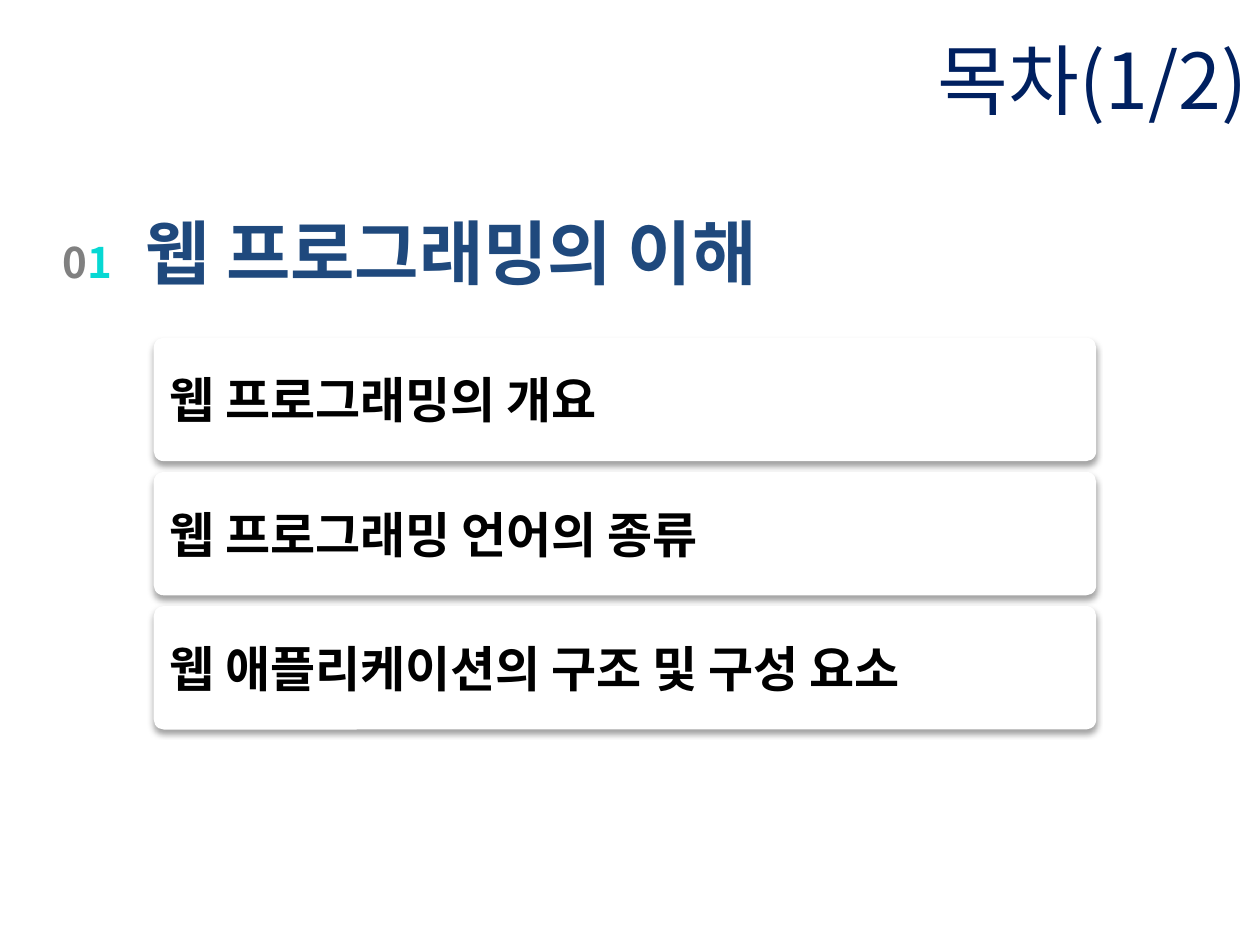
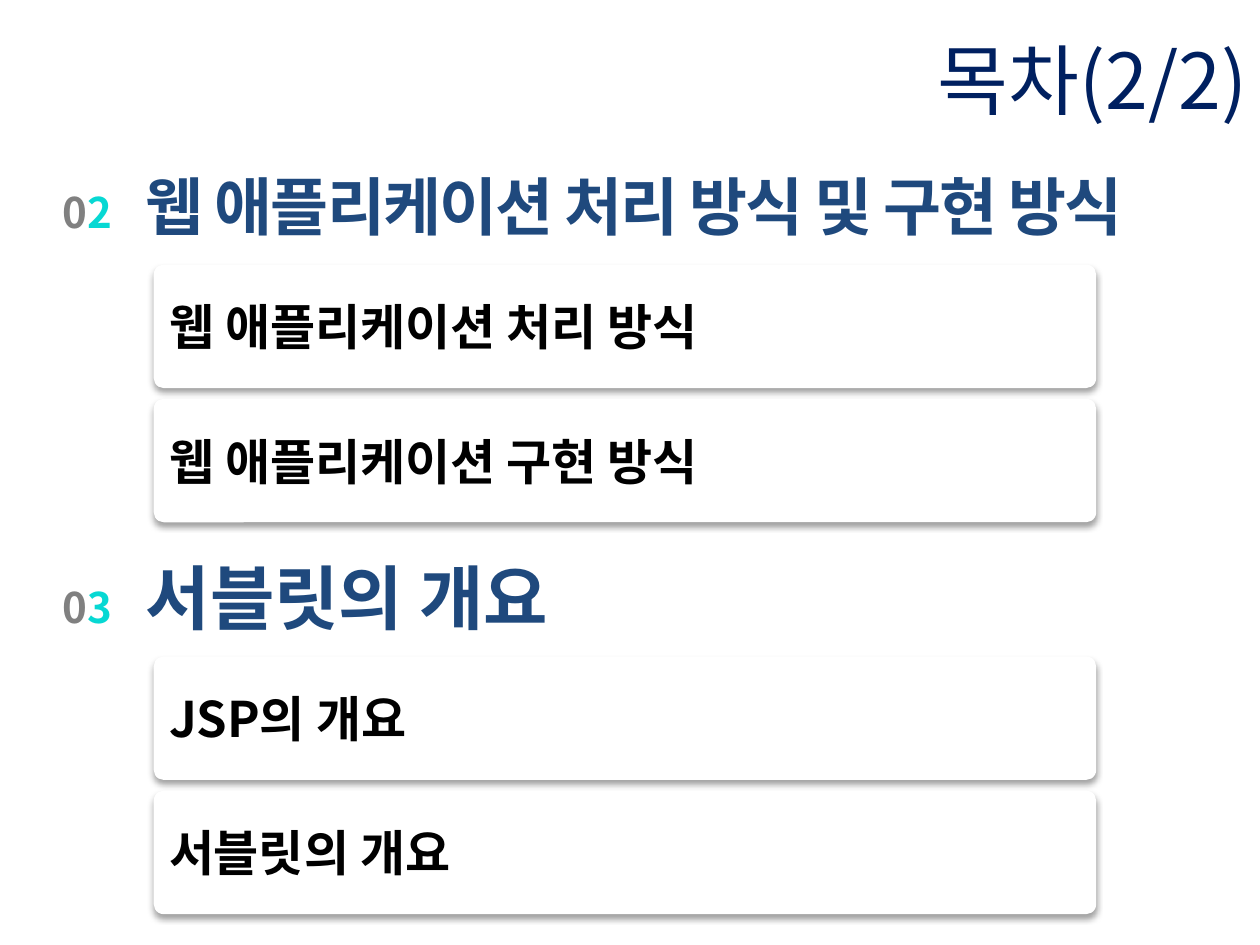
from lxml.etree import SubElement
from pptx import Presentation
from pptx.dml.color import RGBColor
from pptx.enum.shapes import MSO_SHAPE
from pptx.enum.text import MSO_ANCHOR, MSO_AUTO_SIZE, PP_ALIGN
from pptx.oxml.ns import qn
from pptx.util import Inches, Pt

FONT = "Noto Sans CJK KR"
COLORS = {
    "title": "002060",
    "heading": "1F497D",
    "zero": "808080",
    "digit": "07D8D3",
    "card": "FFFFFF",
    "text": "000000",
}
CARD_LEFT, CARD_WIDTH, CARD_HEIGHT, CARD_PITCH = 1.22, 7.48, 0.98, 1.065

SLIDES = [
    ("목차(1/2)", [
        dict(number="1", heading="웹 프로그래밍의 이해", top=1.64, width=5.65, cards_top=2.68,
             topics=["웹 프로그래밍의 개요", "웹 프로그래밍 언어의 종류",
                     "웹 애플리케이션의 구조 및 구성 요소"]),
    ]),
    ("목차(2/2)", [
        dict(number="2", heading="웹 애플리케이션 처리 방식 및 구현 방식", top=1.24, width=9.52,
             cards_top=2.1, size=36, spacing=-1,
             topics=["웹 애플리케이션 처리 방식", "웹 애플리케이션 구현 방식"]),
        dict(number="3", heading="서블릿의 개요", top=4.38, width=3.77, cards_top=5.21,
             topics=["JSP의 개요", "서블릿의 개요"]),
    ]),
]


def color(name):
    return RGBColor.from_string(COLORS[name])


def format_paragraph(p, size, color_name, bold=True, align=PP_ALIGN.LEFT, spacing=0):
    p.alignment = align
    font = p.font
    font.name, font.size, font.bold = FONT, Pt(size), bold
    font.color.rgb = color(color_name)
    props = p._p.pPr.find(qn("a:defRPr"))
    SubElement(props, qn("a:ea")).set("typeface", FONT)
    if spacing:
        props.set("spc", str(spacing * 100))


def add_title(slide, text):
    title = slide.shapes.title
    title.left, title.top = Inches(0), Inches(0)
    title.width, title.height = Inches(10), Inches(1.25)
    tf = title.text_frame
    tf.text = text
    tf.vertical_anchor = MSO_ANCHOR.MIDDLE
    format_paragraph(tf.paragraphs[0], 44, "title", bold=False, align=PP_ALIGN.RIGHT)


def add_text_box(slide, left, top, width, height, wrap):
    box = slide.shapes.add_textbox(Inches(left), Inches(top), Inches(width), Inches(height))
    tf = box.text_frame
    tf.word_wrap = wrap
    tf.auto_size = MSO_AUTO_SIZE.SHAPE_TO_FIT_TEXT
    return tf.paragraphs[0]


def add_heading(slide, text, top, width, size, spacing):
    p = add_text_box(slide, 1.06, top, width, 0.75 if size == 40 else 0.69, wrap=False)
    p.text = text
    p.line_spacing = Pt(46)
    pPr = p._p.get_or_add_pPr()
    pPr.set("marL", str(Inches(0.56)))
    pPr.set("indent", str(Inches(-0.56)))
    format_paragraph(p, size, "heading", spacing=spacing)


def add_number(slide, digit, top):
    p = add_text_box(slide, 0.34, top, 0.71, 0.5, wrap=True)
    format_paragraph(p, 24, "zero", align=PP_ALIGN.CENTER)
    for text, name in (("0", "zero"), (digit, "digit")):
        r = p.add_run()
        r.text = text
        r.font.color.rgb = color(name)


def add_shadow(sp):
    sp.shadow.inherit = False
    effects = sp._element.spPr.find(qn("a:effectLst"))
    shadow = SubElement(effects, qn("a:outerShdw"), blurRad=str(Pt(3.5)), dist=str(Pt(2.2)),
                        dir="5400000", rotWithShape="0")
    shade = SubElement(shadow, qn("a:srgbClr"), val=COLORS["text"])
    SubElement(shade, qn("a:alpha"), val="36000")


def add_card(slide, text, top):
    sp = slide.shapes.add_shape(MSO_SHAPE.ROUNDED_RECTANGLE, Inches(CARD_LEFT), Inches(top),
                                Inches(CARD_WIDTH), Inches(CARD_HEIGHT))
    sp.adjustments[0] = 0.08
    sp.fill.solid()
    sp.fill.fore_color.rgb = color("card")
    sp.line.fill.background()
    add_shadow(sp)
    tf = sp.text_frame
    tf.text = text
    tf.vertical_anchor = MSO_ANCHOR.MIDDLE
    format_paragraph(tf.paragraphs[0], 28, "text", align=PP_ALIGN.JUSTIFY)


def add_section(slide, number, heading, top, width, cards_top, topics, size=40, spacing=0):
    for i, topic in enumerate(topics):
        add_card(slide, topic, cards_top + i * CARD_PITCH)
    add_heading(slide, heading, top, width, size, spacing)
    add_number(slide, number, top + 0.19)


def main():
    prs = Presentation()
    prs.slide_width, prs.slide_height = Inches(10), Inches(7.5)
    for title, sections in SLIDES:
        slide = prs.slides.add_slide(prs.slide_layouts[5])
        add_title(slide, title)
        for section in sections:
            add_section(slide, **section)
    prs.save("out.pptx")


if __name__ == "__main__":
    main()
